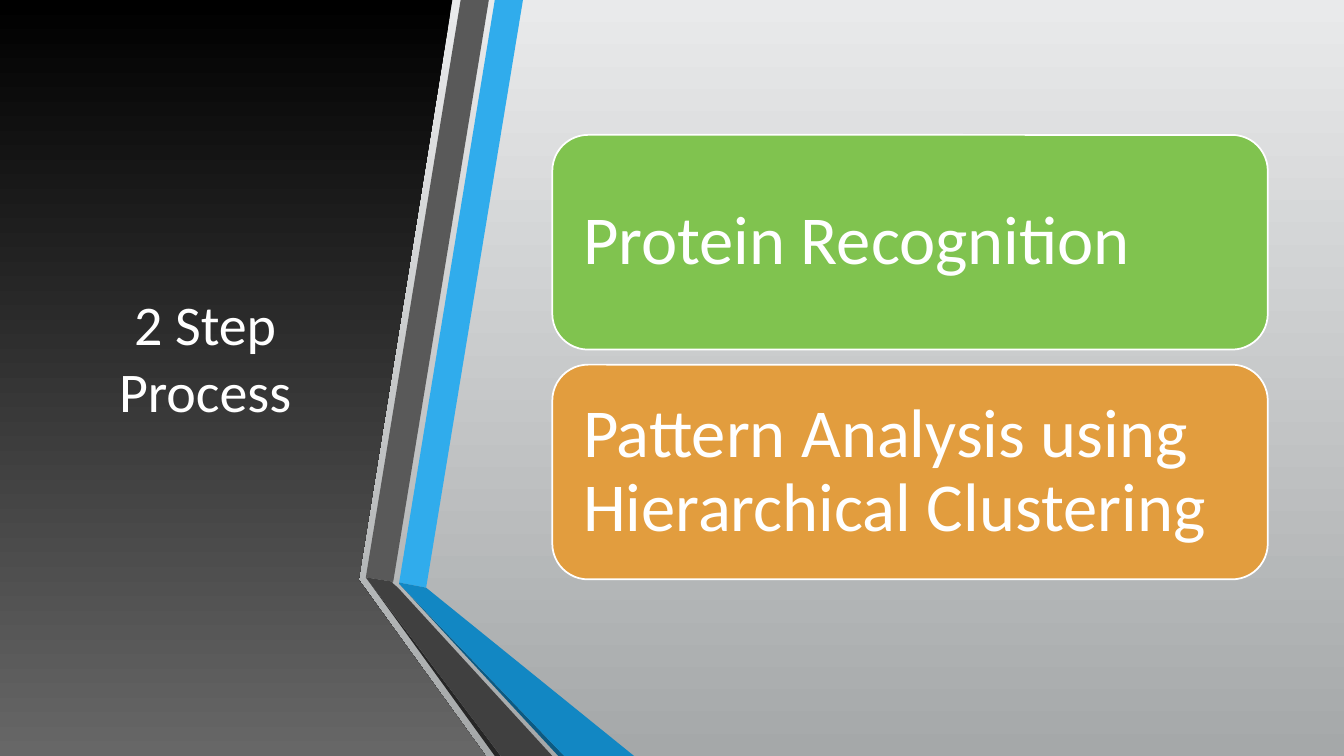
from pptx import Presentation
from pptx.dml.color import RGBColor
from pptx.enum.shapes import MSO_SHAPE as Kind
from pptx.enum.text import MSO_ANCHOR as Anchor, PP_ALIGN as Align
from pptx.util import Cm, Pt

WIDE, HIGH = 33.87, 19.05
LIGHT = ("E9EAEB", "A5A8A9")
DARK = ("000000", "676767")


def color(code):
    return RGBColor.from_string(code)


def shade(fill, tones):
    """Fill with one tone, or with two blended from top to bottom."""
    if isinstance(tones, str):
        fill.solid()
        fill.fore_color.rgb = color(tones)
        return
    fill.gradient()
    fill.gradient_angle = 270
    for stop, tone in zip(fill.gradient_stops, tones):
        stop.color.rgb = color(tone)


class Deck:
    font = "Calibri"
    ink = "FFFFFF"

    def __init__(self):
        self.prs = Presentation()
        self.prs.slide_width, self.prs.slide_height = Cm(WIDE), Cm(HIGH)
        self.slide = self.prs.slides.add_slide(self.prs.slide_layouts[6])
        self.shapes = self.slide.shapes
        shade(self.slide.background.fill, LIGHT)

    def paint(self, shape, tones, edge=None):
        shape.shadow.inherit = False
        shade(shape.fill, tones)
        if edge:
            shape.line.color.rgb = color(edge)
            shape.line.width = Pt(1.25)
        else:
            shape.line.fill.background()

    def block(self, kind, box, tones, edge=None):
        shape = self.shapes.add_shape(kind, *map(Cm, box))
        self.paint(shape, tones, edge)
        return shape

    def shard(self, tones, points):
        """Draw a closed polygon through points given in cm."""
        first, *rest = [(Cm(x), Cm(y)) for x, y in points]
        pen = self.shapes.build_freeform(*first)
        pen.add_line_segments(rest, close=True)
        self.paint(pen.convert_to_shape(), tones)

    def label(self, shape, text, size, align, pad=(0.25, 0.13), space=1.0):
        frame = shape.text_frame
        side, end = map(Cm, pad)
        style = {"word_wrap": True, "vertical_anchor": Anchor.MIDDLE,
                 "margin_left": side, "margin_right": side,
                 "margin_top": end, "margin_bottom": end}
        for name, value in style.items():
            setattr(frame, name, value)
        para = frame.paragraphs[0]
        para.alignment, para.line_spacing = align, space
        run = para.add_run()
        run.text = text
        for name, value in {"name": self.font, "size": Pt(size)}.items():
            setattr(run.font, name, value)
        run.font.color.rgb = color(self.ink)

    def title(self, box, text):
        shape = self.shapes.add_textbox(*map(Cm, box))
        self.label(shape, text, 40, Align.CENTER)

    def card(self, box, text, tone):
        shape = self.block(Kind.ROUNDED_RECTANGLE, box, tone, self.ink)
        self.label(shape, text, 49, Align.LEFT, (0.51, 0.51), 0.9)


PANEL = [(0, 0), (11.4, 0), (9.04, 14.61), (12.24, HIGH), (0, HIGH)]
RIBBONS = [
    ("30ACEC", [(10.06, 14.68), (10.74, 14.81), (13.18, 0), (12.47, 0)]),
    ("595959", [(12.32, 0), (11.61, 0), (9.22, 14.55), (9.91, 14.66)]),
    ("262626", [(9.22, 14.55), (12.47, HIGH), (12.62, HIGH)]),
    ("0C5A82", [(10.06, 14.71), (14.07, HIGH), (14.22, HIGH)]),
    ("1287C3", [(10.06, 14.71), (14.22, HIGH), (15.98, HIGH),
                (10.74, 14.81), (10.06, 14.68)]),
    ("404040", [(13.92, HIGH), (10.03, 14.81), (9.88, 14.68),
                (9.91, 14.66), (9.22, 14.55), (12.62, HIGH)]),
]
STEPS = [
    ("Protein Recognition", "80C34F"),
    ("Pattern Analysis using Hierarchical Clustering", "E29D3E"),
]
TOP, PITCH = 3.4, 5.79


def main():
    deck = Deck()
    deck.block(Kind.RECTANGLE, (0, 0, WIDE, HIGH), LIGHT)
    deck.shard(DARK, PANEL)
    deck.title((1.5, 1.9, 7.34, 14.17), "2 Step Process")
    for tone, points in RIBBONS:
        deck.shard(tone, points)
    for row, (text, tone) in enumerate(STEPS):
        deck.card((13.92, TOP + row * PITCH, 18.03, 5.41), text, tone)
    deck.prs.save("out.pptx")


if __name__ == "__main__":
    main()
